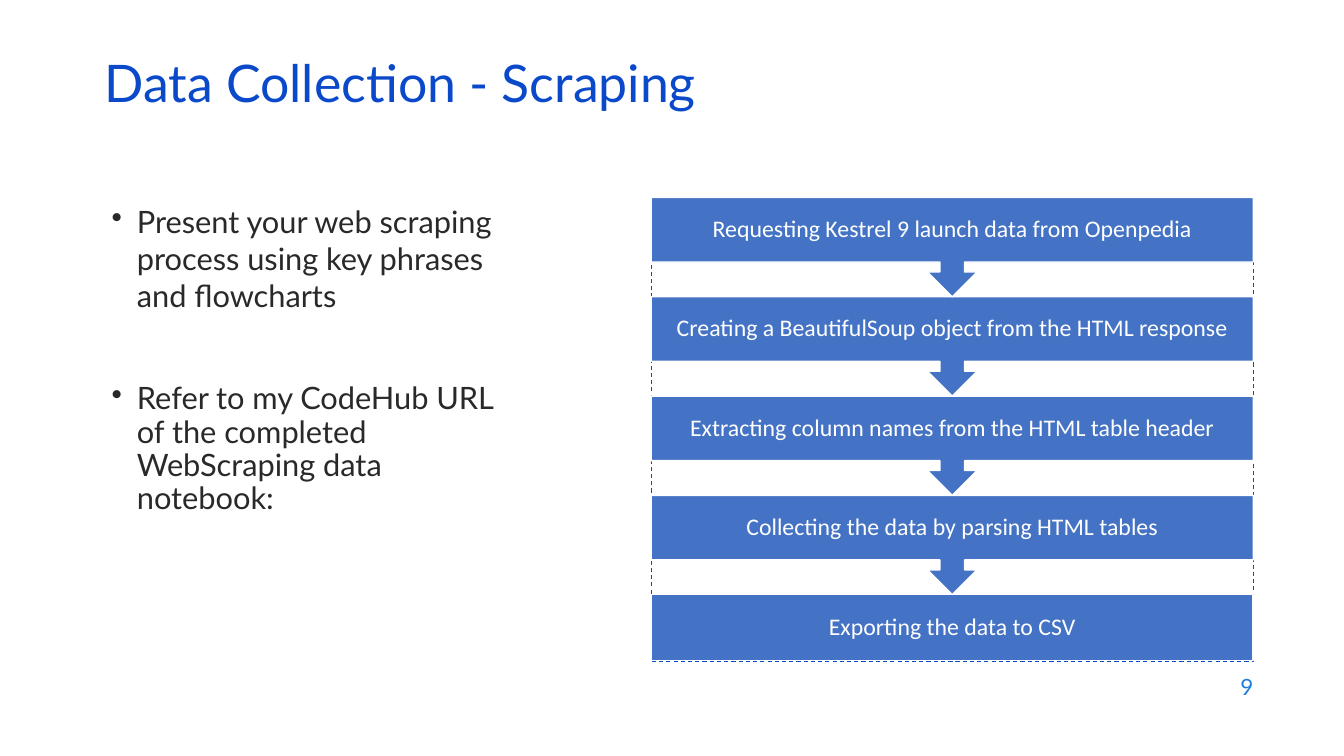
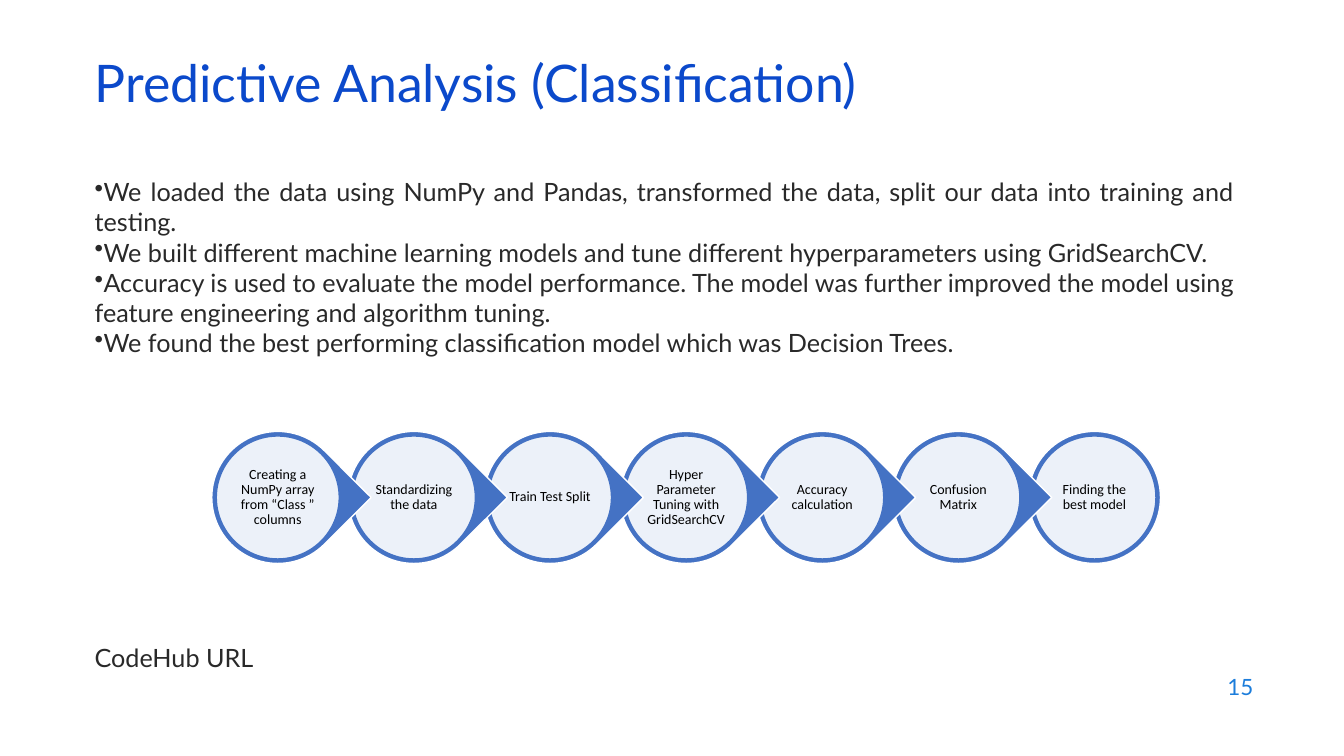
from lxml import etree
from pptx import Presentation
from pptx import util as u
from pptx.dml.color import RGBColor
from pptx.enum import dml, shapes, text
from pptx.oxml.ns import qn

TITLE_BLUE = RGBColor(0x0B, 0x49, 0xCB)
NUMBER_BLUE = RGBColor(0x1C, 0x7D, 0xDB)
STEP_BLUE = RGBColor(0x44, 0x72, 0xC4)
PALE_BLUE = RGBColor(0xEC, 0xF1, 0xF9)
INK = RGBColor(0x29, 0x29, 0x29)
WHITE = RGBColor(0xFF, 0xFF, 0xFF)
BLACK = RGBColor(0x00, 0x00, 0x00)
BODY_FONT, DIAGRAM_FONT = "Lato", "Calibri"
LEFT, ALIGN = text.PP_ALIGN.LEFT, text.PP_ALIGN

SCRAPING_POINTS = [
    "Present your web scraping process using key phrases and flowcharts",
    "Refer to my CodeHub URL of the completed WebScraping data notebook:",
]
SCRAPING_STEPS = [
    "Requesting Kestrel 9 launch data from Openpedia",
    "Creating a BeautifulSoup object from the HTML response",
    "Extracting column names from the HTML table header",
    "Collecting the data by parsing HTML tables",
    "Exporting the data to CSV",
]
MODEL_POINTS = [
    "We loaded the data using NumPy and Pandas, transformed the data, split our data "
    "into training and testing.",
    "We built different machine learning models and tune different hyperparameters "
    "using GridSearchCV.",
    "Accuracy is used to evaluate the model performance. The model was further improved "
    "the model using feature engineering and algorithm tuning.",
    "We found the best performing classification model which was Decision Trees.",
]
MODEL_STEPS = [
    "Creating a NumPy array from “Class ” columns",
    "Standardizing the data",
    "Train Test Split",
    "Hyper Parameter Tuning with GridSearchCV",
    "Accuracy calculation",
    "Confusion Matrix",
    "Finding the best model",
]


def inches(box):
    return [u.Inches(length) for length in box]


def style(paragraph, size, color, font=BODY_FONT, align=LEFT, spacing=1.0):
    paragraph.alignment = align
    paragraph.line_spacing = spacing
    paragraph.font.size = u.Pt(size)
    paragraph.font.name = font
    paragraph.font.color.rgb = color


def add_text(slide, box, lines, size, color=INK, align=LEFT, anchor=text.MSO_ANCHOR.TOP):
    frame = slide.shapes.add_textbox(*inches(box)).text_frame
    frame.word_wrap = True
    frame.vertical_anchor = anchor
    frame.text = "\n".join(lines)
    for paragraph in frame.paragraphs:
        style(paragraph, size, color, align=align)
    return frame


def add_bullets(slide, box, lines, size, indent=0.0, align=LEFT):
    frame = add_text(slide, box, lines, size, align=align)
    for paragraph in frame.paragraphs:
        props = paragraph._p.get_or_add_pPr()
        props.set("marL", str(u.Inches(indent)))
        props.set("indent", str(-u.Inches(indent)))
        bullet = etree.Element(qn("a:buChar"), char="•")
        props.find(qn("a:defRPr")).addprevious(bullet)
    for run in (run for paragraph in frame.paragraphs for run in paragraph.runs):
        run.font.size = u.Pt(size)
        run.font.name = BODY_FONT
        run.font.color.rgb = INK
    return frame


def add_figure(slide, kind, box, fill, line, width=1.0):
    figure = slide.shapes.add_shape(kind, *inches(box))
    figure.shadow.inherit = False
    if fill is None:
        figure.fill.background()
    else:
        figure.fill.solid()
        figure.fill.fore_color.rgb = fill
    figure.line.color.rgb = line
    figure.line.width = u.Pt(width)
    return figure


def label(figure, words, size, color, inset):
    frame = figure.text_frame
    frame.word_wrap = True
    frame.vertical_anchor = text.MSO_ANCHOR.MIDDLE
    frame.margin_left = frame.margin_right = u.Inches(inset)
    frame.margin_top = frame.margin_bottom = u.Inches(inset)
    frame.text = words
    style(frame.paragraphs[0], size, color, DIAGRAM_FONT, ALIGN.CENTER, 0.9)


def add_titled_slide(deck, heading, left, number):
    slide = deck.slides.add_slide(deck.slide_layouts[5])
    title = slide.shapes.title
    title.left, title.top, title.width, title.height = inches((left, 0.59, 11.5, 0.6))
    frame = title.text_frame
    frame.text = heading
    frame.auto_size = text.MSO_AUTO_SIZE.NONE
    frame.vertical_anchor = text.MSO_ANCHOR.MIDDLE
    style(frame.paragraphs[0], 37, TITLE_BLUE, spacing=0.7)
    add_text(slide, (9.53, 6.59, 3, 0.44), [str(number)], 16, NUMBER_BLUE,
             ALIGN.RIGHT, text.MSO_ANCHOR.MIDDLE)
    return slide


def add_step_column(slide, box, steps):
    """Stack arrow callouts inside a dashed frame, ending in a plain bar."""
    left, top, width, height = box
    frame = add_figure(slide, shapes.MSO_SHAPE.RECTANGLE, box, None, TITLE_BLUE, 0.75)
    frame.line.dash_style = dml.MSO_LINE.DASH
    bar = 0.65
    pitch = (height - bar - 0.01) / (len(steps) - 1)
    last = len(steps) - 1
    for row, words in reversed(list(enumerate(steps))):
        kind, tall = shapes.MSO_SHAPE.DOWN_ARROW_CALLOUT, pitch
        if row == last:
            kind, tall = shapes.MSO_SHAPE.RECTANGLE, bar
        step = add_figure(slide, kind, (left, top + row * pitch, width, tall),
                          STEP_BLUE, WHITE)
        label(step, words, 17, WHITE, 0.13)


def add_step_chain(slide, box, steps):
    """Place circles in a row, each pointing over the edge of the next."""
    left, top, width, size = box
    pitch = (width - size) / (len(steps) - 1)
    rim = 0.045
    last = len(steps) - 1
    for column, words in reversed(list(enumerate(steps))):
        x = left + column * pitch
        kind = shapes.MSO_SHAPE.OVAL if column == last else shapes.MSO_SHAPE.TEAR
        pointer = add_figure(slide, kind, (x, top, size, size), STEP_BLUE, WHITE)
        if column != last:
            pointer.rotation = 45
        disc = add_figure(slide, shapes.MSO_SHAPE.OVAL,
                          (x + rim, top + rim, size - 2 * rim, size - 2 * rim),
                          PALE_BLUE, STEP_BLUE)
        label(disc, words, 10, BLACK, 0.01)


def build_scraping(deck):
    slide = add_titled_slide(deck, "Data Collection - Scraping", 0.94, 9)
    points = add_bullets(slide, (1.01, 1.96, 4.3, 4.17), SCRAPING_POINTS, 22, 0.25)
    notebook = points.paragraphs[1]
    notebook.space_before = u.Pt(50)
    notebook.line_spacing = 0.9
    add_step_column(slide, (6.46, 1.96, 5.97, 4.6), SCRAPING_STEPS)


def build_classification(deck):
    slide = add_titled_slide(deck, "Predictive Analysis (Classification)", 0.84, 15)
    add_bullets(slide, (0.84, 1.7, 11.5, 2.29), MODEL_POINTS, 18, align=ALIGN.JUSTIFY)
    add_text(slide, (0.84, 6.32, 11.5, 0.71), ["CodeHub URL"], 18)
    add_step_chain(slide, (2.1, 4.28, 9.41, 1.31), MODEL_STEPS)


def main():
    deck = Presentation()
    deck.slide_width, deck.slide_height = inches((13.33, 7.5))
    build_scraping(deck)
    build_classification(deck)
    deck.save("out.pptx")


if __name__ == "__main__":
    main()
